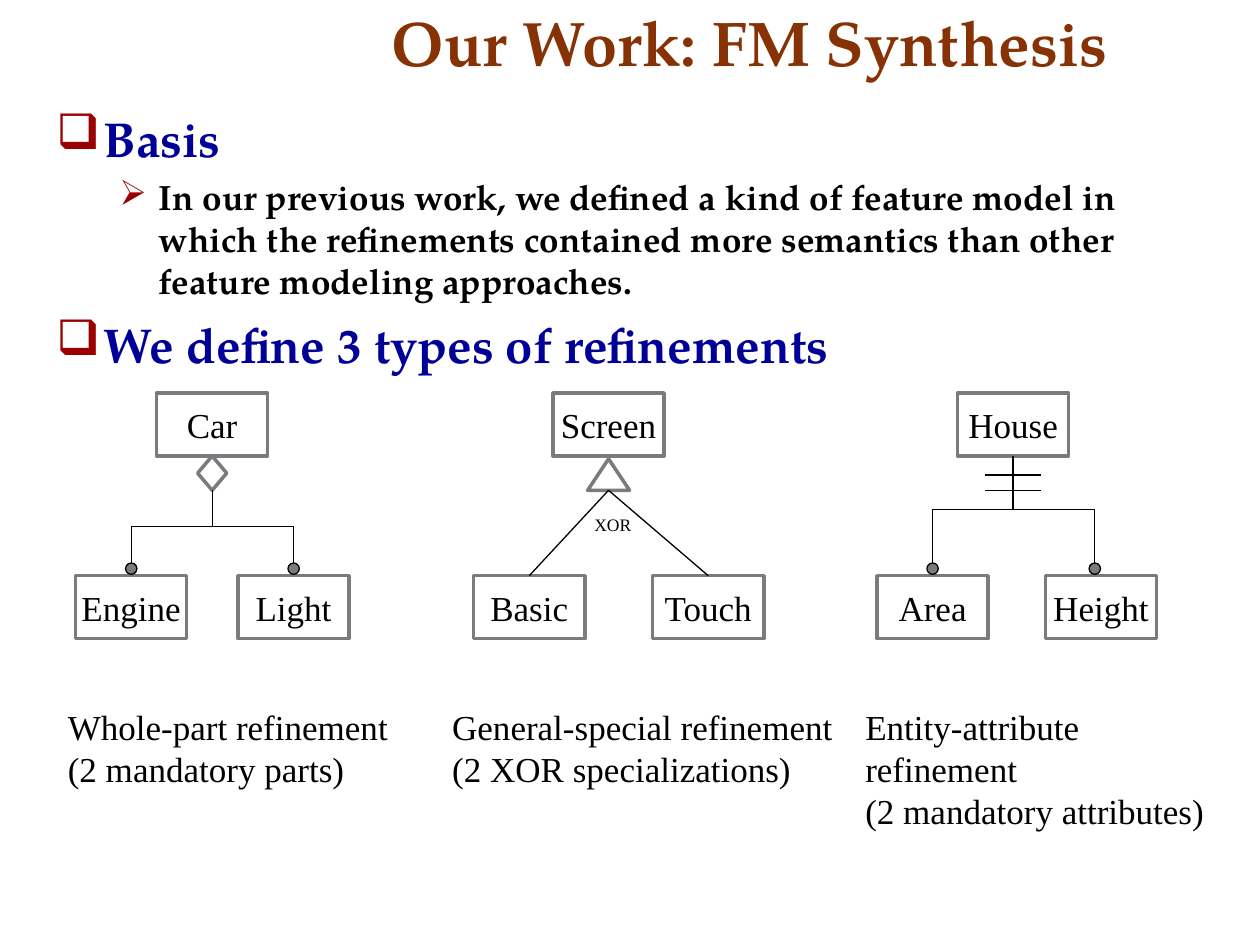
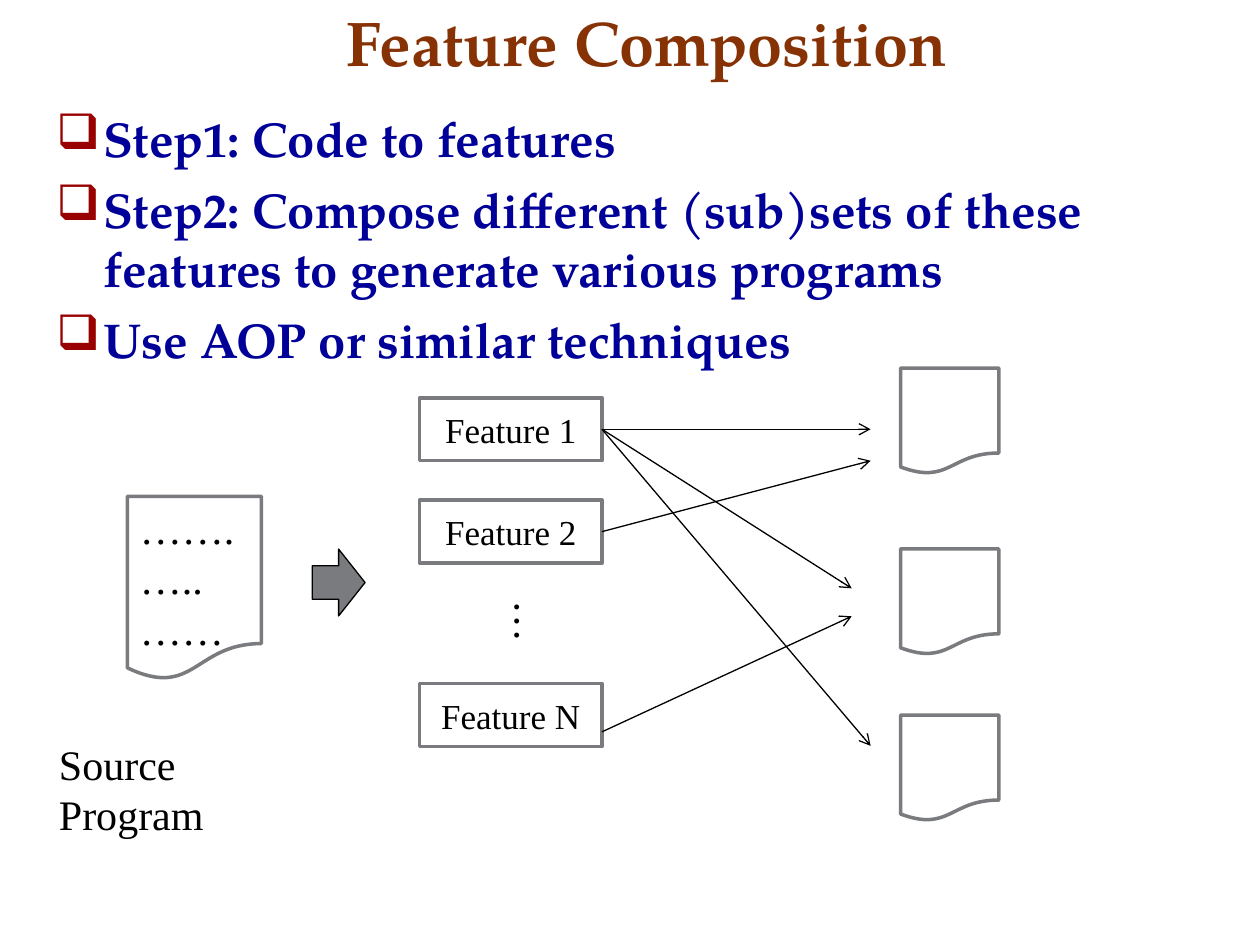
from lxml.etree import SubElement
from pptx import Presentation
from pptx.dml.color import RGBColor
from pptx.enum.shapes import MSO_CONNECTOR, MSO_SHAPE
from pptx.enum.text import MSO_ANCHOR, PP_ALIGN
from pptx.oxml.ns import qn
from pptx.util import Pt

# Colours and fonts
WHITE = RGBColor(0xFF, 0xFF, 0xFF)
BLACK = RGBColor(0x00, 0x00, 0x00)
GREY = RGBColor(0x79, 0x7B, 0x7E)
BROWN = RGBColor(0x86, 0x32, 0x04)
NAVY = RGBColor(0x00, 0x00, 0x99)
RED = RGBColor(0x99, 0x00, 0x00)
HEAD_FONT, LABEL_FONT = "TeX Gyre Pagella", "Times New Roman"

# Text formats and bullet levels
TITLE = {"name": HEAD_FONT, "size": Pt(36), "bold": True}
LABEL = {"name": LABEL_FONT, "size": Pt(20)}
LARGE = {"name": LABEL_FONT, "size": Pt(24)}
SMALL = {"name": LABEL_FONT, "size": Pt(10)}
LEVELS = [
    {"char": "❑", "left": 27, "hang": 27, "before": 7, "color": NAVY,
     "font": {"name": HEAD_FONT, "size": Pt(28), "bold": True}},
    {"char": "➢", "left": 58.5, "hang": 22.5, "before": 5, "color": BLACK,
     "font": {"name": HEAD_FONT, "size": Pt(20), "bold": True}},
]

# Sizes shared by the diagrams
BOX_W, BOX_H = 63.5, 36
PARENT_Y, CHILD_Y = 224.6, 329
DOT = 6.5
DOT_Y = CHILD_Y - DOT - 0.8


def set_values(obj, values):
    for name, value in values.items():
        setattr(obj, name, value)


def add_run(p, text, font, color=BLACK):
    r = p.add_run()
    r.text = text
    set_values(r.font, font)
    r.font.color.rgb = color


def write_lines(tf, lines, font, color=BLACK, align=PP_ALIGN.LEFT):
    for i, line in enumerate(lines):
        p = tf.add_paragraph() if i else tf.paragraphs[0]
        p.alignment = align
        add_run(p, line, font, color)


def add_text(s, x, y, w, h, lines, font, color=BLACK, **frame):
    tf = s.shapes.add_textbox(Pt(x), Pt(y), Pt(w), Pt(h)).text_frame
    set_values(tf, {"word_wrap": False, **frame})
    write_lines(tf, lines, font, color)
    return tf


def add_title(s, text, x, w):
    add_text(s, x, -1.8, w, 50.8, [text], TITLE, BROWN,
             word_wrap=True, vertical_anchor=MSO_ANCHOR.BOTTOM)


def add_bullet(p, level):
    pPr = p._p.get_or_add_pPr()
    pPr.set("marL", str(Pt(level["left"])))
    pPr.set("indent", str(-Pt(level["hang"])))
    clr = SubElement(pPr, qn("a:buClr"))
    SubElement(clr, qn("a:srgbClr")).set("val", str(RED))
    SubElement(pPr, qn("a:buChar")).set("char", level["char"])


def add_body(s, items):
    tf = s.shapes.add_textbox(Pt(25.2), Pt(58.3), Pt(664.6), Pt(409.7)).text_frame
    tf.word_wrap = True
    for i, (depth, text) in enumerate(items):
        level = LEVELS[depth]
        p = tf.add_paragraph() if i else tf.paragraphs[0]
        add_bullet(p, level)
        p.level = depth
        p.space_before = Pt(level["before"] if i else 0)
        add_run(p, text, level["font"], level["color"])


def add_figure(s, kind, x, y, w, h, fill=WHITE, line=GREY, width=2):
    sp = s.shapes.add_shape(kind, Pt(x), Pt(y), Pt(w), Pt(h))
    sp.shadow.inherit = False
    sp.fill.solid()
    sp.fill.fore_color.rgb = fill
    sp.line.color.rgb = line
    sp.line.width = Pt(width)
    return sp


def add_box(s, text, x, y, w=BOX_W):
    sp = add_figure(s, MSO_SHAPE.RECTANGLE, x, y, w, BOX_H)
    set_values(sp.text_frame, {"word_wrap": False, "vertical_anchor": MSO_ANCHOR.MIDDLE})
    write_lines(sp.text_frame, [text], LABEL, align=PP_ALIGN.CENTER)
    return sp


def add_line(s, x1, y1, x2, y2, kind=MSO_CONNECTOR.STRAIGHT, arrow=False):
    cx = s.shapes.add_connector(kind, Pt(x1), Pt(y1), Pt(x2), Pt(y2))
    cx.line.color.rgb = BLACK
    cx.line.width = Pt(0.75)
    if arrow:
        SubElement(cx.line._get_or_add_ln(), qn("a:tailEnd")).set("type", "arrow")
    SubElement(cx._element.spPr, qn("a:effectLst"))
    return cx


def add_branch(s, x1, y1, x2, y2):
    """Elbow that leaves downwards: a level elbow turned about its centre."""
    mid_x, mid_y = (x1 + x2) / 2, (y1 + y2) / 2
    side = 1 if x2 > x1 else -1
    run, rise = side * (y2 - y1) / 2, abs(x2 - x1) / 2
    cx = add_line(s, mid_x + run, mid_y - rise, mid_x - run, mid_y + rise,
                  MSO_CONNECTOR.ELBOW)
    turn = 270 if side > 0 else 90
    cx._element.spPr.find(qn("a:xfrm")).set("rot", str(turn * 60000))


def add_mandatory(s, root_x, root_y, dot_xs):
    for x in dot_xs:
        add_figure(s, MSO_SHAPE.OVAL, x - DOT / 2, DOT_Y, DOT, DOT, GREY, BLACK, 0.75)
        add_branch(s, root_x, root_y, x, DOT_Y)


def add_family(s, parent, parent_x, children, caption, caption_x, caption_w):
    add_box(s, parent, parent_x, PARENT_Y)
    boxes = [add_box(s, name, x, CHILD_Y) for name, x in children]
    add_text(s, caption_x, 399.6, caption_w, 55.4, caption, LABEL)
    return parent_x + BOX_W / 2, boxes


def build_synthesis(s):
    add_title(s, "Our Work: FM Synthesis", 216.7, 492.5)
    add_body(s, [
        (0, "Basis"),
        (1, "In our previous work, we defined a kind of feature model in which the "
            "refinements contained more semantics than other feature modeling approaches."),
        (0, "We define 3 types of refinements"),
    ])
    parent_bottom, mark_bottom = PARENT_Y + BOX_H, 280.2

    # Whole-part
    x, _ = add_family(s, "Car", 89.5, [("Engine", 43.2), ("Light", 136)],
                      ["Whole-part refinement", "(2 mandatory parts)"], 31.7, 197.3)
    add_figure(s, MSO_SHAPE.DIAMOND, x - 8.3, parent_bottom, 16.6, 19.6)
    add_mandatory(s, x, mark_bottom, (75, 167.8))

    # General-special
    x, kinds = add_family(s, "Screen", 316, [("Basic", 270.7), ("Touch", 373)],
                          ["General-special refinement", "(2 XOR specializations)"],
                          251.3, 231.8)
    add_figure(s, MSO_SHAPE.ISOSCELES_TRIANGLE, x - 12, 262.2, 24, 18)
    for box in kinds:
        add_line(s, x, mark_bottom, x, CHILD_Y).end_connect(box, 0)
    add_text(s, 332.6, 290.2, 35.3, 19.4, ["XOR"], SMALL)

    # Entity-attribute
    x, _ = add_family(s, "House", 547.2, [("Area", 501.2), ("Height", 597.4)],
                      ["Entity-attribute refinement", "(2 mandatory attributes)"],
                      487.4, 228.2)
    add_mandatory(s, x, parent_bottom, (532.9, 625.6))
    for y in (271.4, mark_bottom):
        add_line(s, x - 16.2, y, x + 16.2, y)


def build_composition(s):
    add_title(s, "Feature Composition", 190.8, 518.4)
    add_body(s, [
        (0, "Step1: Code to features"),
        (0, "Step2: Compose different (sub)sets of these features to generate "
            "various programs"),
        (0, "Use AOP or similar techniques"),
    ])

    # Source program
    sp = add_figure(s, MSO_SHAPE.FLOWCHART_DOCUMENT, 72.8, 283.6, 76.5, 105)
    set_values(sp.text_frame, {"word_wrap": False, "vertical_anchor": MSO_ANCHOR.TOP})
    write_lines(sp.text_frame, ["…….", "…..", "……"], LARGE)
    add_text(s, 26.6, 418.3, 169.2, 36, ["Source Program"], LARGE)
    add_figure(s, MSO_SHAPE.RIGHT_ARROW, 178.4, 313.8, 30.2, 38.2, GREY, BLACK, 0.75)

    # Features
    left, width = 239.8, 104.2
    first, second, _ = [add_box(s, f"Feature {n}", left, y, width)
                        for n, y in (("1", 227.3), ("2", 285.8), ("N", 390.6))]
    tf = add_text(s, 278.6, 336.2, 43.2, 31.7, ["…"], LARGE,
                  margin_left=Pt(3.6), margin_right=Pt(3.6),
                  margin_top=Pt(7.2), margin_bottom=Pt(7.2))
    tf._txBody.bodyPr.set("vert", "eaVert")

    # Generated programs
    for y in (210.4, 313.7, 408.7):
        add_figure(s, MSO_SHAPE.FLOWCHART_DOCUMENT, 514.6, y, 56.2, 60.5)

    # Which feature goes into which program
    right = left + width
    for box, x, y in ((first, 497.5, 245.3), (second, 497.5, 263.3),
                      (first, 486.7, 336.2), (first, 497.5, 426.2)):
        add_line(s, right, y, x, y, arrow=True).begin_connect(box, 3)
    add_line(s, right, 418.2, 486.7, 352.2, arrow=True)


def main():
    prs = Presentation()
    set_values(prs, {"slide_width": Pt(720), "slide_height": Pt(540)})
    for build in (build_synthesis, build_composition):
        build(prs.slides.add_slide(prs.slide_layouts[6]))
    prs.save("out.pptx")


if __name__ == "__main__":
    main()
